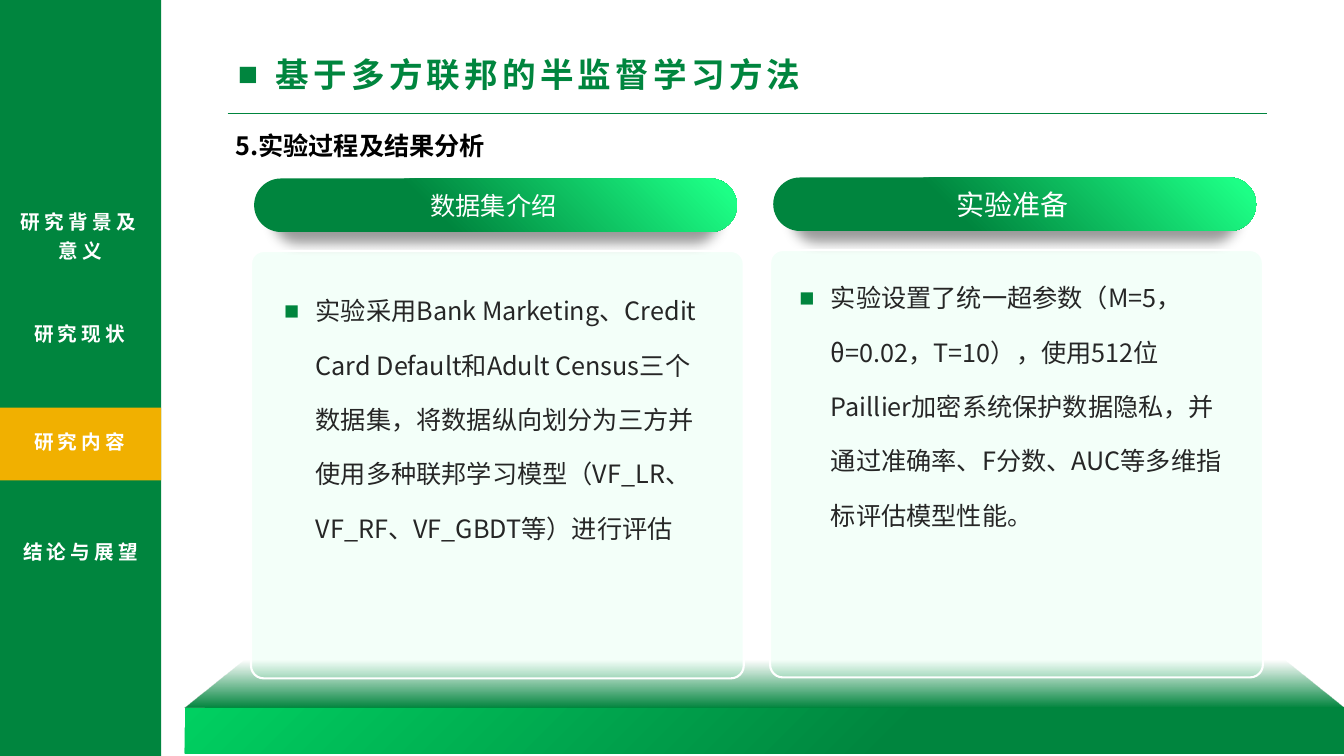
from lxml import etree
from pptx import Presentation
from pptx.dml.color import RGBColor
from pptx.enum import shapes as kinds, text as t
from pptx.oxml.ns import qn
from pptx.util import Pt

GREEN = RGBColor(0x00, 0x85, 0x3E)
LEAF = RGBColor(0x00, 0xD0, 0x61)
LIME = RGBColor(0x1D, 0xFF, 0x86)
MINT = RGBColor(0xB4, 0xFF, 0xD7)
AMBER = RGBColor(0xF1, 0xB0, 0x00)
WHITE = RGBColor(0xFF, 0xFF, 0xFF)
BLACK = RGBColor(0x00, 0x00, 0x00)
INK = RGBColor(0x26, 0x26, 0x26)
HAN_FONT, PILL_FONT = "Noto Sans CJK SC", "Karla"
LEFT, CENTER = t.PP_ALIGN.LEFT, t.PP_ALIGN.CENTER

TITLE = "基于多方联邦的半监督学习方法"
SUBTITLE = "5.实验过程及结果分析"
# label, alignment, frame
SECTIONS = [("研究背景及意义", CENTER, (0, 141.9, 115.2, 50)),
            ("研究现状", LEFT, (17.3, 222.5, 89.3, 30)),
            ("研究内容", LEFT, (17.3, 299.5, 89.3, 30)),
            ("结论与展望", CENTER, (0, 378, 115.2, 30))]
# heading, heading size, panel left, panel top, body offset (x, y), body text
CARDS = [
    ("数据集介绍", 18, 179.3, 179.3, (16.5, 10.8),
     "实验采用Bank Marketing、Credit Card Default和Adult Census三个数据集，"
     "将数据纵向划分为三方并使用多种联邦学习模型（VF_LR、VF_RF、VF_GBDT等）进行评估"),
    ("实验准备", 20, 550.1, 178.6, (13.7, 2.2),
     "实验设置了统一超参数（M=5，θ=0.02，T=10），使用512位Paillier加密系统保护数据隐私，"
     "并通过准确率、F分数、AUC等多维指标评估模型性能。"),
]
SLIDE_W, SLIDE_H, BAR_W = 960, 540, 115.2
PANEL_W, PANEL_H = 352, 305.3
PILL_W, PILL_H, PILL_DX, PILL_RISE = 344.9, 38.2, 2.2, 51.8
STAGE_LEFT, STAGE_TOP, FLOOR_H, FRONT_H = 131.8, 459.4, 46.1, 32.4


def child(parent, tag, **attributes):
    return etree.SubElement(parent, qn(tag), attributes)


def place(box, left, top, width, height):
    box.left, box.top, box.width, box.height = map(Pt, (left, top, width, height))


def add_block(kind, frame, fill=None, adjust=None):
    block = slide.shapes.add_shape(kind, *map(Pt, frame))
    block.shadow.inherit = False
    block.line.fill.background()
    if fill is not None:
        block.fill.solid()
        block.fill.fore_color.rgb = fill
    if adjust is not None:
        block.adjustments[0] = adjust
    return block


def add_gradient(block, stops, angle=None):
    """Stops are (percent, colour, opacity percent); no angle means a glow from the top right."""
    block.fill.gradient()
    grad = block._element.spPr.find(qn("a:gradFill"))
    grad.clear()
    grad.set("rotWithShape", "1")
    stop_list = child(grad, "a:gsLst")
    for percent, colour, opacity in stops:
        stop = child(stop_list, "a:gs", pos=str(percent * 1000))
        rgb = child(stop, "a:srgbClr", val=str(colour))
        if opacity < 100:
            child(rgb, "a:alpha", val=str(opacity * 1000))
    if angle is None:
        circle = child(grad, "a:path", path="circle")
        child(circle, "a:fillToRect", l="100000", b="100000")
    else:
        child(grad, "a:lin", ang=str(angle * 60000), scaled="0")


def add_pill_shadow(pill):
    effects = pill._element.spPr.find(qn("a:effectLst"))
    shadow = child(effects, "a:outerShdw", blurRad=str(Pt(9)), dist=str(Pt(9)), dir="5400000",
                   sx="92000", sy="92000", algn="ctr", rotWithShape="0")
    child(child(shadow, "a:srgbClr", val=str(BLACK)), "a:alpha", val="40000")


def write(box, words, size, colour, bold=False, align=LEFT, pitch=None,
          tracking=0, indent=0, font=HAN_FONT, anchor=t.MSO_ANCHOR.TOP):
    """Set one formatted paragraph; an indent also gives it a square bullet."""
    frame = box.text_frame
    frame.word_wrap = True
    frame.auto_size = t.MSO_AUTO_SIZE.NONE
    frame.vertical_anchor = anchor
    para = frame.paragraphs[0]
    para.text = words
    para.alignment = align
    para.space_before = Pt(0)
    if pitch:
        para.line_spacing = Pt(pitch)
    props = para._p.get_or_add_pPr()
    if indent:
        props.set("marL", str(Pt(indent)))
        props.set("indent", str(Pt(-indent)))
        child(child(props, "a:buClr"), "a:srgbClr", val=str(GREEN))
        child(props, "a:buFont", typeface="Arial")
        child(props, "a:buChar", char="■")
    para.font.size = Pt(size)
    para.font.bold = bold
    para.font.color.rgb = colour
    para.font.name = font
    run_defaults = props.find(qn("a:defRPr"))
    run_defaults.set("spc", str(tracking * 100))
    child(run_defaults, "a:ea", typeface=HAN_FONT)


def add_label(frame, words, *style, **options):
    write(slide.shapes.add_textbox(*map(Pt, frame)), words, *style, **options)


deck = Presentation()
deck.slide_width, deck.slide_height = Pt(SLIDE_W), Pt(SLIDE_H)
slide = deck.slides.add_slide(deck.slide_layouts.get_by_name("Two Content"))
title, *bodies = slide.placeholders
shape = kinds.MSO_SHAPE

place(title, 162.7, 35.3, 617, 37)
write(title, TITLE, 24, GREEN, bold=True, pitch=28.6, tracking=3, indent=27)
rule = slide.shapes.add_connector(kinds.MSO_CONNECTOR.STRAIGHT,
                                  Pt(162.7), Pt(80.8), Pt(905), Pt(80.8))
rule.line.color.rgb = GREEN
rule.line.width = Pt(0.5)
child(rule._element.spPr, "a:effectLst")

add_block(shape.RECTANGLE, (0, 0, BAR_W, SLIDE_H), GREEN)
add_block(shape.RECTANGLE, (0, 291.2, BAR_W, 52), AMBER)
for section, align, frame in SECTIONS:
    add_label(frame, section, 14, WHITE, bold=True, align=align, pitch=21, tracking=3)
add_label((161, 89.3, 386, 30), SUBTITLE, 18, BLACK, bold=True, pitch=22)

stage_w = SLIDE_W - STAGE_LEFT
front = add_block(shape.ROUNDED_RECTANGLE,
                  (STAGE_LEFT, STAGE_TOP + FLOOR_H, stage_w, FRONT_H), adjust=0)
add_gradient(front, [(0, LEAF, 100), (62, GREEN, 100)], 45)
floor = add_block(shape.TRAPEZOID, (STAGE_LEFT, STAGE_TOP, stage_w, FLOOR_H), adjust=1.27)
add_gradient(floor, [(27, GREEN, 0), (100, GREEN, 100)], 90)

for (heading, size, left, top, (dx, dy), words), body in zip(CARDS, bodies):
    pill = add_block(shape.ROUNDED_RECTANGLE,
                     (left + PILL_DX, top - PILL_RISE, PILL_W, PILL_H), adjust=0.5)
    add_gradient(pill, [(4, LIME, 100), (63, GREEN, 100)])
    add_pill_shadow(pill)
    inner = pill.text_frame
    inner.margin_left = inner.margin_top = inner.margin_bottom = 0
    inner.margin_right = Pt(3)
    write(pill, heading, size, WHITE, align=CENTER, font=PILL_FONT,
          anchor=t.MSO_ANCHOR.MIDDLE)

    panel = add_block(shape.ROUNDED_RECTANGLE, (left, top, PANEL_W, PANEL_H), MINT, 0.03)
    tint = panel._element.spPr.find(qn("a:solidFill")).find(qn("a:srgbClr"))
    child(tint, "a:alpha", val="15000")
    panel.line.color.rgb = WHITE
    panel.line.width = Pt(1.5)

    place(body, left + dx, top + dy, 321, 265.7)
    write(body, words, 18, INK, pitch=38.9, indent=22.5)
    panel._element.addnext(body._element)

deck.save("out.pptx")
